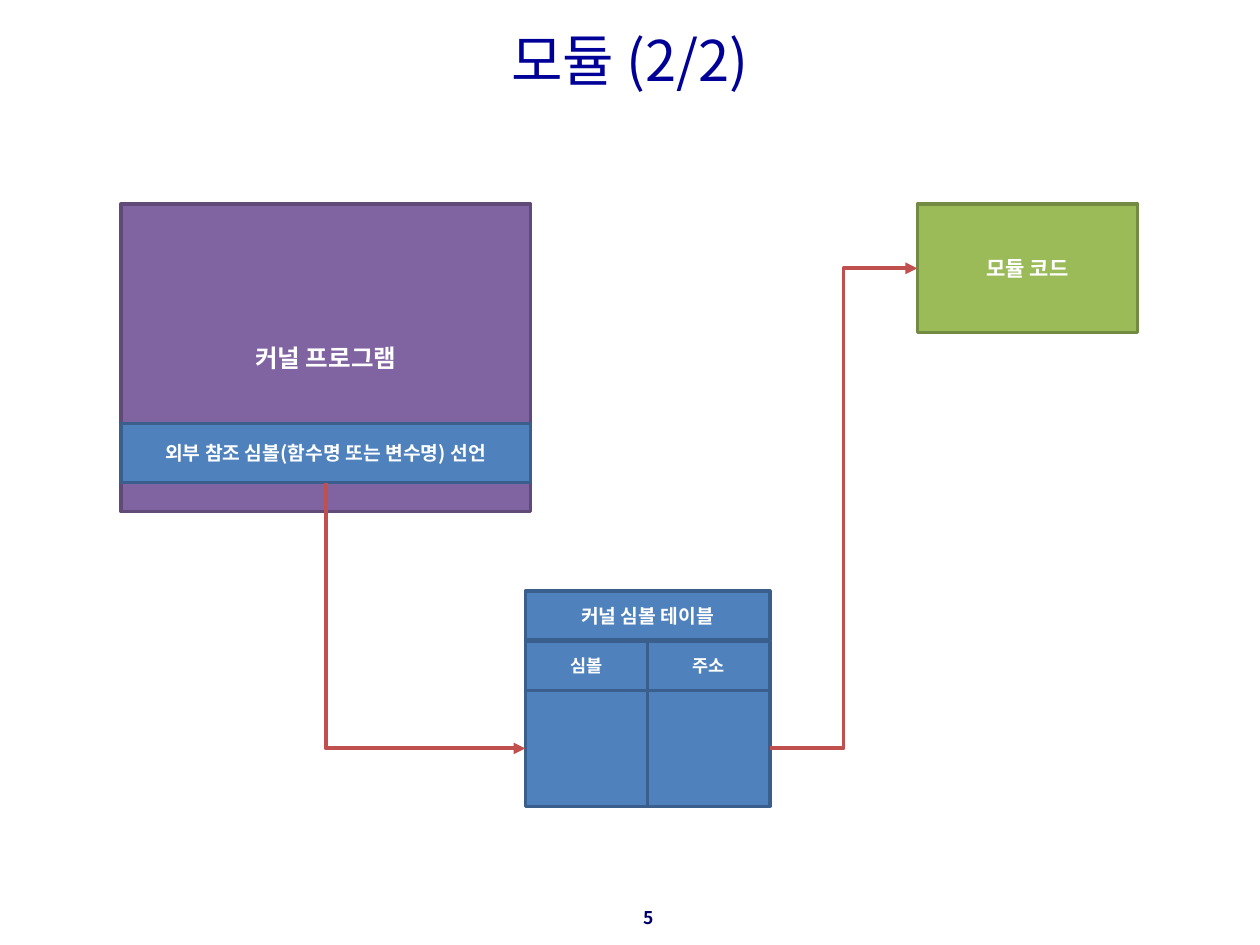
from lxml import etree
from pptx import Presentation
from pptx.dml.color import RGBColor
from pptx.enum.shapes import MSO_CONNECTOR as Link, MSO_SHAPE as Shape
from pptx.enum.text import MSO_ANCHOR as Anchor, PP_ALIGN as Align
from pptx.oxml.ns import qn
from pptx.util import Inches, Pt

FONT = "Noto Sans CJK KR"
PURPLE = ("8064A2", "5F4A78")
BLUE = ("4F81BD", "3A5F8C")
GREEN = ("9BBB59", "738A42")


def color(value):
    return RGBColor.from_string(value)


def write(box, text, size, tint, bold, align, anchor):
    frame = box.text_frame
    frame.word_wrap = True
    frame.vertical_anchor = anchor
    para = frame.paragraphs[0]
    para.alignment = align
    span = para.add_run()
    span.text = text
    span.font.size = Pt(size)
    span.font.bold = bold
    span.font.name = FONT
    span.font.color.rgb = color(tint)
    span.font._element.set("kern", "0")
    etree.SubElement(span.font._element, qn("a:ea"), typeface=FONT)


deck = Presentation()
deck.slide_width = Inches(10)
deck.slide_height = Inches(7.5)
page = deck.slides.add_slide(deck.slide_layouts[6])

labels = [
    ("5", 3.21, 7.15, 2.08, 0.34, 10, "000066", True, Align.RIGHT, Anchor.TOP),
    ("모듈 (2/2)", 0.5, 0.12, 9, 0.7, 32, "000099", False, Align.CENTER, Anchor.MIDDLE),
]
for text, left, top, width, height, *style in labels:
    box = page.shapes.add_textbox(Inches(left), Inches(top), Inches(width), Inches(height))
    write(box, text, *style)

table_left, cell_width = 4.17, 0.97
address_left = table_left + cell_width
blocks = [
    ("kernel", "커널 프로그램", 0.96, 1.62, 3.25, 2.44, 14, PURPLE),
    ("declaration", "외부 참조 심볼(함수명 또는 변수명) 선언", 0.96, 3.36, 3.25, 0.47, 11, BLUE),
    ("table title", "커널 심볼 테이블", table_left, 4.69, 2 * cell_width, 0.39, 11, BLUE),
    ("symbol header", "심볼", table_left, 5.09, cell_width, 0.39, 10, BLUE),
    ("address header", "주소", address_left, 5.09, cell_width, 0.39, 10, BLUE),
    ("symbol cell", "", table_left, 5.48, cell_width, 0.92, 10, BLUE),
    ("module", "모듈 코드", 7.28, 1.62, 1.75, 1.02, 12, GREEN),
    ("address cell", "", address_left, 5.48, cell_width, 0.92, 10, BLUE),
]
boxes = {}
for name, text, left, top, width, height, size, (fill, edge) in blocks:
    box = page.shapes.add_shape(
        Shape.RECTANGLE, Inches(left), Inches(top), Inches(width), Inches(height))
    box.shadow.inherit = False
    box.fill.solid()
    box.fill.fore_color.rgb = color(fill)
    box.line.color.rgb = color(edge)
    box.line.width = Pt(2)
    if text:
        write(box, text, size, "FFFFFF", True, Align.CENTER, Anchor.MIDDLE)
    boxes[name] = box

arrows = []
for start, start_side, end in [("declaration", 2, "symbol cell"), ("address cell", 3, "module")]:
    arrow = page.shapes.add_connector(Link.ELBOW, 0, 0, 0, 0)
    arrow.begin_connect(boxes[start], start_side)
    arrow.end_connect(boxes[end], 1)
    arrow.line.color.rgb = color("C0504D")
    arrow.line.width = Pt(2.25)
    etree.SubElement(arrow.line._get_or_add_ln(), qn("a:tailEnd"), type="triangle")
    etree.SubElement(arrow._element.spPr, qn("a:effectLst"))
    arrows.append(arrow)

corner = arrows[0]
across, down = corner.width, corner.height
corner.left += (across - down) // 2
corner.top += (down - across) // 2
corner.width, corner.height = down, across
frame = corner._element.spPr.find(qn("a:xfrm"))
frame.set("rot", "16200000")
frame.set("flipH", "1")
corner._element.spPr.find(qn("a:prstGeom")).set("prst", "bentConnector2")

deck.save("out.pptx")
